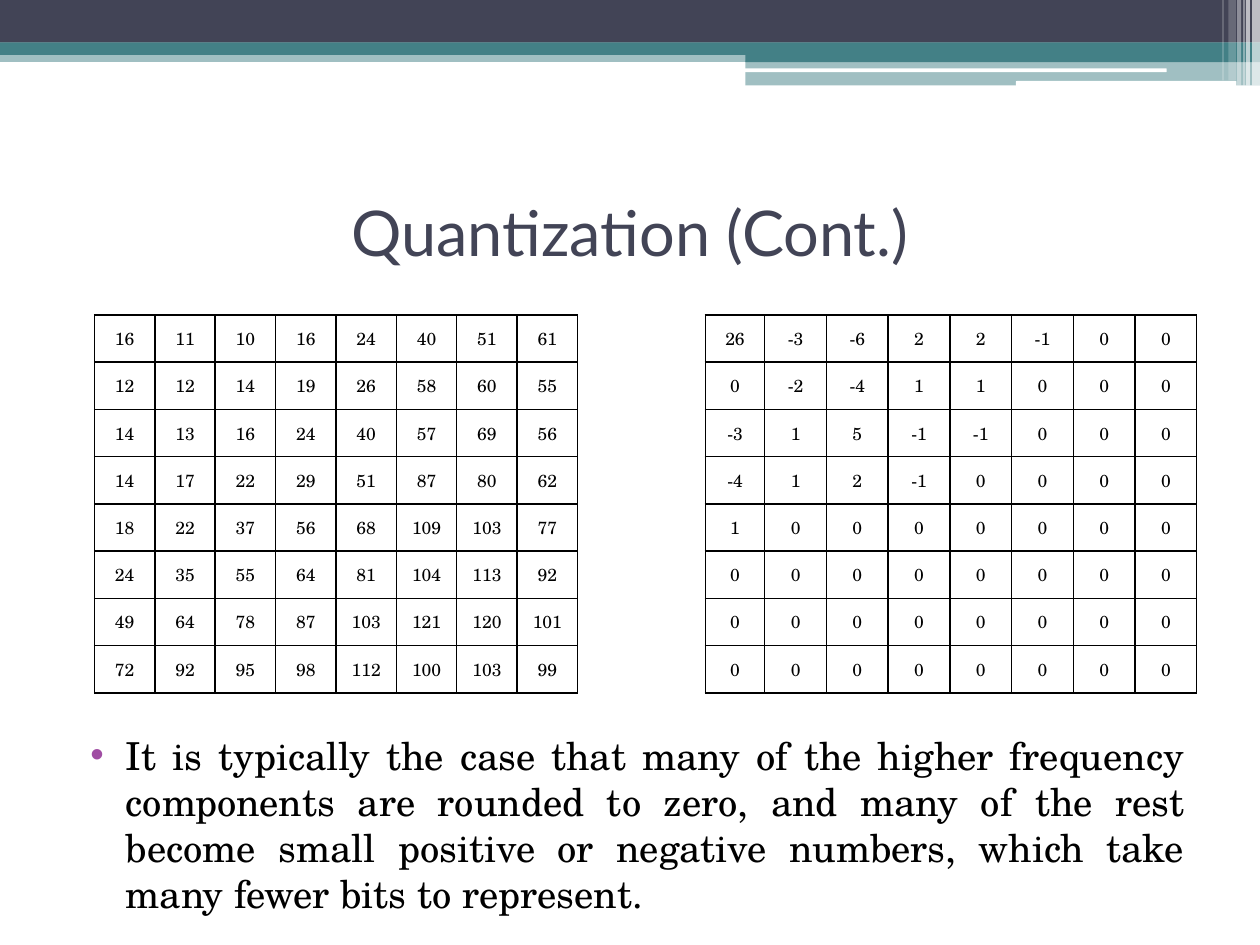
"""Build the quantization slide with its two 8 by 8 tables."""
from dataclasses import dataclass
from lxml.etree import SubElement as Sub
from pptx import Presentation
from pptx.dml.color import RGBColor as RGB
from pptx.enum.shapes import MSO_SHAPE as Shape
from pptx.enum.text import MSO_ANCHOR as Anchor, PP_ALIGN as Align
from pptx.oxml.ns import qn
from pptx.util import Pt


@dataclass(frozen=True)
class Theme:
    navy: str = "424456"
    teal: str = "438086"
    white: str = "FFFFFF"
    black: str = "000000"
    dot: str = "A04DA3"
    sans: str = "Lato"
    serif: str = "TeX Gyre Schola"
    head: int = 36
    body: int = 22
    cell: int = 10


def put(item, **values):
    for name, value in values.items():
        setattr(item, name, value)


def write(frame, text, font, size, color, align):
    line = frame.paragraphs[0]
    line.alignment = align
    run = line.add_run()
    run.text = text
    put(run.font, name=font, size=Pt(size))
    run.font.color.rgb = RGB.from_string(color)
    return line


theme = Theme()
deck = Presentation()
put(deck, slide_width=Pt(720), slide_height=Pt(540))
slide = deck.slides.add_slide(deck.slide_layouts[6])
shapes = slide.shapes

RECT, ROUND = Shape.RECTANGLE, Shape.ROUNDED_RECTANGLE
bars = [
    (RECT, 0, 28.8, 720, 6.6, theme.teal, 50),
    (RECT, 0, 0, 720, 24.4, theme.navy, 100),
    (RECT, 0, 24.2, 720, 7.2, theme.teal, 100),
    (RECT, 426, 28.3, 294, 7.2, theme.teal, 100),
    (RECT, 426, 34.6, 294, 14.2, theme.teal, 50),
    (ROUND, 425.5, 39.1, 241.2, 2.2, theme.white, 100),
    (ROUND, 580.5, 46.3, 126, 2.9, theme.white, 100),
    (RECT, 715.5, 0, 4.5, 49, theme.white, 65),
    (RECT, 712, 0, 2.2, 49, theme.white, 65),
    (RECT, 710.5, 0, 0.7, 49, theme.white, 60),
    (RECT, 707, 0, 2.2, 49, theme.white, 40),
    (RECT, 702, 0, 4.3, 46, theme.white, 20),
    (RECT, 698.5, 0, 0.7, 46, theme.white, 30),
]
for kind, left, top, width, height, color, alpha in bars:
    bar = shapes.add_shape(kind, Pt(left), Pt(top), Pt(width), Pt(height))
    bar.shadow.inherit = False
    bar.line.fill.background()
    bar.fill.solid()
    bar.fill.fore_color.rgb = RGB.from_string(color)
    if alpha < 100:
        tint = bar.fill._xPr.find(f".//{qn('a:srgbClr')}")
        Sub(tint, qn("a:alpha"), val=str(alpha * 1000))

title = shapes.add_textbox(Pt(36), Pt(90), Pt(648), Pt(84)).text_frame
put(title, word_wrap=True, vertical_anchor=Anchor.MIDDLE)
write(title, "Quantization (Cont.)", theme.sans, theme.head, theme.navy, Align.CENTER)

note = shapes.add_textbox(Pt(36), Pt(414.5), Pt(648), Pt(113)).text_frame
note.word_wrap = True
point = write(
    note,
    "It is typically the case that many of the higher frequency components "
    "are rounded to zero, and many of the rest become small positive or "
    "negative numbers, which take many fewer bits to represent.",
    theme.serif, theme.body, theme.black, Align.JUSTIFY)
props = point._p.get_or_add_pPr()
props.set("marL", str(Pt(28.8)))
props.set("indent", str(Pt(-20.16)))
Sub(Sub(props, qn("a:buClr")), qn("a:srgbClr"), val=theme.dot)
Sub(props, qn("a:buFont"), typeface="Arial")
Sub(props, qn("a:buChar"), char="•")

steps = """
16 11 10 16 24 40 51 61
12 12 14 19 26 58 60 55
14 13 16 24 40 57 69 56
14 17 22 29 51 87 80 62
18 22 37 56 68 109 103 77
24 35 55 64 81 104 113 92
49 64 78 87 103 121 120 101
72 92 95 98 112 100 103 99
"""
levels = """
26 -3 -6 2 2 -1 0 0
0 -2 -4 1 1 0 0 0
-3 1 5 -1 -1 0 0 0
-4 1 2 -1 0 0 0 0
1 0 0 0 0 0 0 0
0 0 0 0 0 0 0 0
0 0 0 0 0 0 0 0
0 0 0 0 0 0 0 0
"""
plain = dict(margin_left=0, margin_right=0, margin_top=0, margin_bottom=0,
             vertical_anchor=Anchor.MIDDLE)
for data, left, first, width in ((steps, 54, 34.5, 34.5), (levels, 403, 34, 35.28)):
    rows = [line.split() for line in data.strip().splitlines()]
    count = len(rows)
    total = first + width * (count - 1)
    grid = shapes.add_table(count, count, Pt(left), Pt(180), Pt(total), Pt(216)).table
    put(grid, first_row=False, horz_banding=False)
    for col in grid.columns:
        col.width = Pt(width)
    grid.columns[0].width = Pt(first)
    for r, row in enumerate(rows):
        grid.rows[r].height = Pt(216 / count)
        for c, value in enumerate(row):
            cell = grid.cell(r, c)
            put(cell, **plain)
            write(cell.text_frame, value, theme.serif, theme.cell, theme.black, Align.CENTER)
            edges = cell._tc.get_or_add_tcPr()
            for side in "LRTB":
                edge = Sub(edges, qn(f"a:ln{side}"), w=str(Pt(1)))
                Sub(Sub(edge, qn("a:solidFill")), qn("a:srgbClr"), val=theme.black)
            cell.fill.background()

deck.save("out.pptx")
